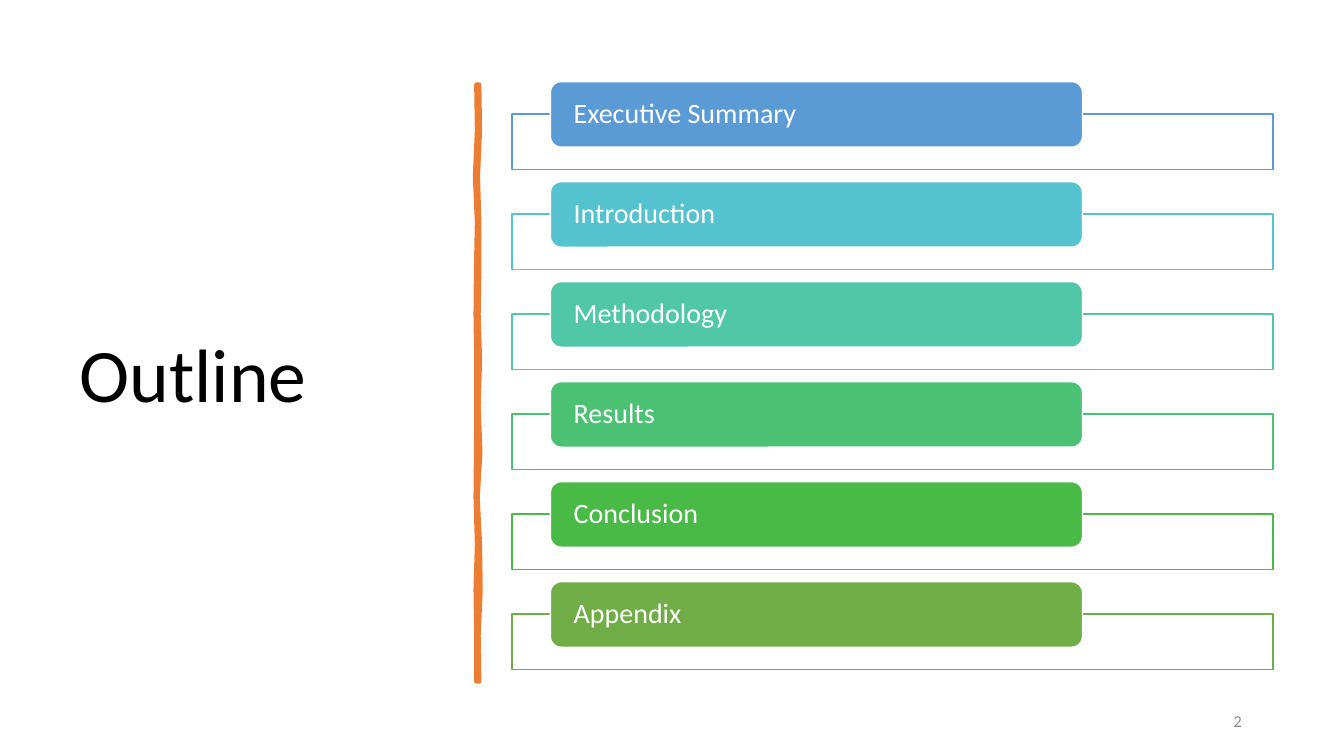
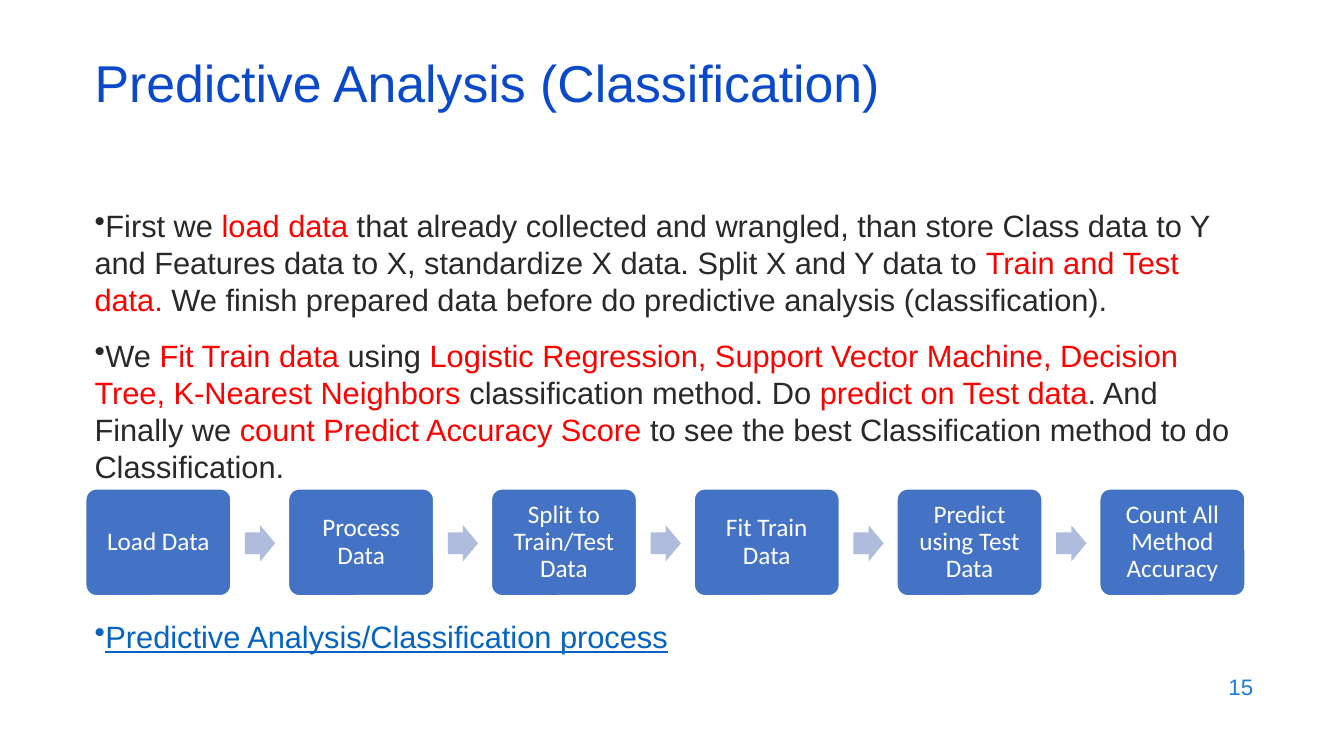
from lxml.etree import SubElement
from pptx import Presentation
from pptx.dml.color import RGBColor
from pptx.enum.shapes import MSO_SHAPE
from pptx.enum.text import MSO_ANCHOR, PP_ALIGN
from pptx.oxml.ns import qn
from pptx.util import Inches, Pt

COLORS = {
    "white": "FFFFFF", "black": "000000", "grey": "8C8C8C", "ink": "292929",
    "red": "FF0000", "link": "0563C1", "title": "0B49CB", "number": "1C7DDB",
    "brush": "ED7D31", "step": "4472C4", "arrow": "B0BCDE",
    "summary": "5B9BD5", "introduction": "55C3CF", "methodology": "50C8A7",
    "results": "4BC174", "conclusion": "4ABA46", "appendix": "70AD47",
}

deck = Presentation()
deck.slide_width, deck.slide_height = Inches(13.33), Inches(7.5)
blank = deck.slide_layouts[6]
# The grid has 100 columns and 100 rows.
COLUMN, ROW = deck.slide_width / 100, deck.slide_height / 100

MIDDLE = {"vertical_anchor": MSO_ANCHOR.MIDDLE}
TOP = {"vertical_anchor": MSO_ANCHOR.TOP}
RIGHT = {"alignment": PP_ALIGN.RIGHT}


def add_block(slide, grid, preset=None, fill=None, line=None):
    """Add a preset shape, or a text box if no preset is given, at grid (column, row, columns, rows)."""
    left, top, width, height = grid
    box = [round(left * COLUMN), round(top * ROW), round(width * COLUMN), round(height * ROW)]
    if preset is None:
        return slide.shapes.add_textbox(*box)
    block = slide.shapes.add_shape(preset, *box)
    block.shadow.inherit = False
    block.fill.solid()
    block.fill.fore_color.rgb = RGBColor.from_string(COLORS[fill])
    if line:
        block.line.color.rgb = RGBColor.from_string(COLORS[line])
        block.line.width = Pt(1)
    else:
        block.line.fill.background()
    return block


def write(block, paragraphs, font, frame_format=MIDDLE, paragraph_format=RIGHT, bullet=False):
    """Fill a block; each paragraph is a list of (text, color) runs."""
    frame = block.text_frame
    frame.word_wrap = True
    for key, value in frame_format.items():
        setattr(frame, key, value)
    for index, runs in enumerate(paragraphs):
        paragraph = frame.paragraphs[0] if index == 0 else frame.add_paragraph()
        if bullet:
            properties = paragraph._p.get_or_add_pPr()
            properties.set("marL", "0")
            properties.set("indent", "0")
            SubElement(properties, qn("a:buChar")).set("char", "•")
        for key, value in paragraph_format.items():
            setattr(paragraph, key, value)
        if index:
            paragraph.space_before = Pt(14)
        for words, color in runs:
            run = paragraph.add_run()
            run.text = words
            for key, value in font.items():
                setattr(run.font, key, value)
            run.font.color.rgb = RGBColor.from_string(COLORS[color])


# Each slide's title and page number
pages = [
    {"title": "Outline", "title_grid": (5.18, 9.33, 28.05, 81.47), "title_color": "black",
     "title_font": {"name": "Calibri", "size": Pt(54)}, "spacing": 0.9,
     "number": "2", "number_grid": (70.65, 92.67, 22.5, 5.33), "number_color": "grey",
     "number_font": {"name": "Calibri", "size": Pt(12)}},
    {"title": "Predictive Analysis (Classification)", "title_grid": (6.3, 7.87, 86.25, 8),
     "title_color": "title", "title_font": {"name": "Arial", "size": Pt(37)}, "spacing": 0.7,
     "number": "15", "number_grid": (71.48, 87.87, 22.5, 5.87), "number_color": "number",
     "number_font": {"name": "Arial", "size": Pt(16)}},
]
for page in pages:
    slide = deck.slides.add_slide(blank)
    write(add_block(slide, page["title_grid"]), [[(page["title"], page["title_color"])]],
          page["title_font"], paragraph_format={"line_spacing": page["spacing"]})
    write(add_block(slide, page["number_grid"]), [[(page["number"], page["number_color"])]],
          page["number_font"])
outline, classification = deck.slides

# Outline: hand-drawn divider, as column offsets of its left and right edges
left_edge = [-0.1, -0.05, -0.2, -0.05, -0.12, -0.15, -0.1, -0.1, -0.12, -0.15, -0.05, -0.15, -0.1, -0.1]
right_edge = [0.1, 0.15, 0, 0.1, 0.1, 0.05, 0.15, 0.05, 0.18, -0.02, 0.15, 0.2, 0.05, 0.1]
divider_column, divider_top, divider_rows = 35.55, 11.2, 78.93
edge_step = divider_rows / (len(left_edge) - 1)
down = [(divider_column + x, divider_top + i * edge_step) for i, x in enumerate(right_edge)]
up = [(divider_column + x, divider_top + i * edge_step) for i, x in enumerate(left_edge)][::-1]
stroke = [(x * 100, y * 100) for x, y in down + up]
builder = outline.shapes.build_freeform(*stroke[0], scale=(COLUMN / 100, ROW / 100))
builder.add_line_segments(stroke[1:], close=True)
divider = builder.convert_to_shape()
divider.shadow.inherit = False
divider.fill.solid()
for paint in (divider.fill.fore_color, divider.line.color):
    paint.rgb = RGBColor.from_string(COLORS["brush"])
divider.line.width = Pt(3.25)

# Outline: one framed label per section
sections = {
    "Executive Summary": "summary", "Introduction": "introduction",
    "Methodology": "methodology", "Results": "results",
    "Conclusion": "conclusion", "Appendix": "appendix",
}
section_pitch = 13.23
label_frame = {**MIDDLE, "margin_left": Inches(0.2), "margin_right": Inches(0.2),
               "margin_top": 0, "margin_bottom": 0}
label_font = {"name": "Calibri", "size": Pt(20)}
for index, (section, color) in enumerate(sections.items()):
    offset = index * section_pitch
    add_block(outline, (38.1, 15.07 + offset, 56.63, 7.33), MSO_SHAPE.RECTANGLE, "white", color)
    label = add_block(outline, (40.95, 10.8 + offset, 39.6, 8.67),
                      MSO_SHAPE.ROUNDED_RECTANGLE, color, "white")
    write(label, [[(section, "white")]], label_font, label_frame,
          {"alignment": PP_ALIGN.LEFT, "line_spacing": 0.9})

# Classification: explanation and process reference
explanation = [
    [("First we ", "ink"), ("load data", "red"),
     (" that already collected and wrangled, than store Class data to Y and Features data to X, "
      "standardize X data. Split X and Y data to ", "ink"),
     ("Train and Test data.", "red"),
     (" We finish prepared data before do predictive analysis (classification).", "ink")],
    [("We ", "ink"), ("Fit Train data", "red"), (" using ", "ink"),
     ("Logistic Regression, Support Vector Machine, Decision Tree, K-Nearest Neighbors", "red"),
     (" classification method. Do ", "ink"), ("predict on Test data", "red"),
     (". And Finally we ", "ink"), ("count Predict Accuracy Score", "red"),
     (" to see the best Classification method to do Classification.", "ink")],
]
reference = [[("Predictive Analysis/Classification process", "link")]]
body_font = {"name": "Arial", "size": Pt(22)}
body_lines = {"alignment": PP_ALIGN.LEFT, "line_spacing": 1.0}
write(add_block(classification, (6.3, 26.67, 86.33, 36.67)), explanation,
      body_font, TOP, body_lines, bullet=True)
write(add_block(classification, (6.3, 81.07, 86.33, 6.67)), reference,
      {**body_font, "underline": True}, TOP, body_lines, bullet=True)

# Classification: process steps joined by arrows
steps = ["Load Data", "Process Data", "Split to Train/Test Data", "Fit Train Data",
         "Predict using Test Data", "Count All Method Accuracy"]
step_left, step_pitch = 6.38, 15.09
step_frame = {**MIDDLE, **{f"margin_{side}": Inches(0.1) for side in ("left", "right", "top", "bottom")}}
step_font = {"name": "Calibri", "size": Pt(18)}
for index, step in enumerate(steps):
    left = step_left + index * step_pitch
    card = add_block(classification, (left, 64.67, 10.8, 14.13),
                     MSO_SHAPE.ROUNDED_RECTANGLE, "step", "white")
    card.adjustments[0] = 0.1
    write(card, [[(step, "white")]], step_font, step_frame,
          {"alignment": PP_ALIGN.CENTER, "line_spacing": 0.9})
    if index < len(steps) - 1:
        arrow = add_block(classification, (left + 11.85, 69.47, 2.25, 4.8),
                          MSO_SHAPE.RIGHT_ARROW, "arrow")
        arrow.adjustments[0] = 0.6

deck.save("out.pptx")
